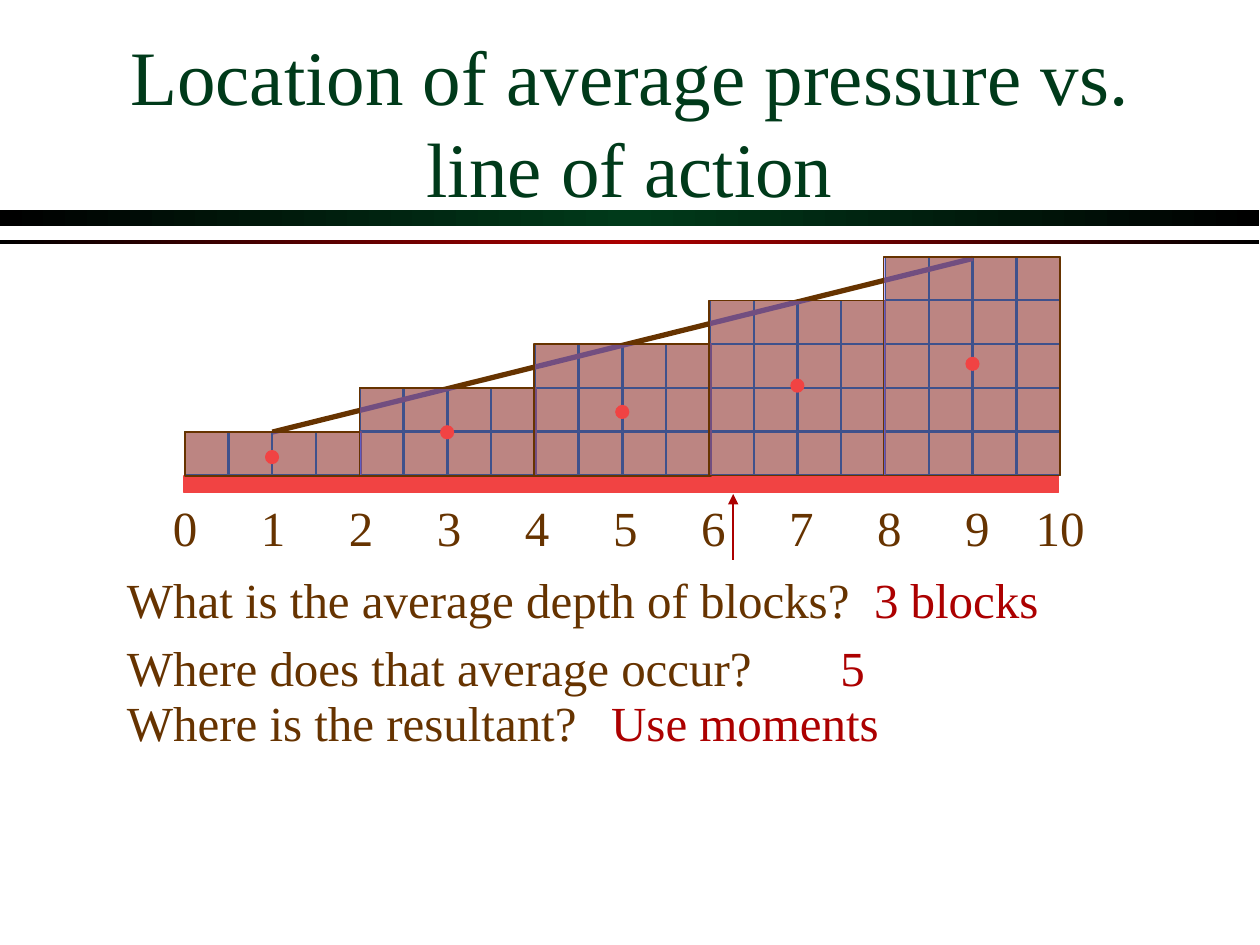
from copy import deepcopy

from lxml import etree
from pptx import Presentation
from pptx.dml.color import RGBColor
from pptx.enum.shapes import MSO_CONNECTOR, MSO_SHAPE
from pptx.enum.text import MSO_ANCHOR, PP_ALIGN
from pptx.oxml.ns import qn
from pptx.util import Cm, Pt

RECT, OVAL = MSO_SHAPE.RECTANGLE, MSO_SHAPE.OVAL
LINE = MSO_CONNECTOR.STRAIGHT
LEFT, MID = PP_ALIGN.LEFT, PP_ALIGN.CENTER
TOP, CENTRE = MSO_ANCHOR.TOP, MSO_ANCHOR.MIDDLE

BLACK = RGBColor(0x00, 0x00, 0x00)
GREEN = RGBColor(0x00, 0x3A, 0x1A)
RED = RGBColor(0xAC, 0x00, 0x00)
CORAL = RGBColor(0xF1, 0x43, 0x43)
BROWN = RGBColor(0x66, 0x33, 0x00)
GOLD = RGBColor(0xFB, 0xA3, 0x05)
VIOLET = RGBColor(0x7E, 0x69, 0xFF)

# Block grid, in cm
X0, BASE = 3.73, 9.59
PITCH = 17.65 / 20
SIDE = 0.87
STEPS = 5


def add(parent, tag, **values):
    child = etree.SubElement(parent, qn(tag))
    for key, value in values.items():
        child.set(key, value)
    return child


class Board:
    """Holds the text style and the current slide."""

    style = {"name": "Times New Roman", "size": Pt(28)}

    def __init__(self, slide):
        self.slide = slide

    def shape(self, kind, x, y, w, h, fill=None, line=None, alpha=None):
        item = self.slide.shapes.add_shape(kind, Cm(x), Cm(y), Cm(w), Cm(h))
        item.shadow.inherit = False
        if fill is not None:
            item.fill.solid()
            item.fill.fore_color.rgb = fill
        if alpha:
            tint = item.fill._xPr.find(qn("a:solidFill"))[0]
            add(tint, "a:alpha", val=str(alpha * 1000))
        if line is None:
            item.line.fill.background()
        else:
            item.line.color.rgb = line
            item.line.width = Pt(1)
        return item

    def band(self, y, h, tint):
        """A full-width bar that fades to black at both ends."""
        item = self.shape(RECT, 0, y, 25.38, h)
        item.fill.gradient()
        item.fill.gradient_angle = 0
        stops = item.fill._xPr.find(qn("a:gradFill")).find(qn("a:gsLst"))
        stops.append(deepcopy(stops[0]))
        for stop, color, place in zip(item.fill.gradient_stops,
                                      (BLACK, tint, BLACK), (0, 0.5, 1)):
            stop.color.rgb = color
            stop.position = place

    def line(self, x1, y1, x2, y2, color, width, arrow=False):
        item = self.slide.shapes.add_connector(
            LINE, Cm(x1), Cm(y1), Cm(x2), Cm(y2))
        item.line.color.rgb = color
        item.line.width = Pt(width)
        if arrow:
            add(item.line._get_or_add_ln(), "a:tailEnd", type="triangle")
        add(item._element.spPr, "a:effectLst")

    def text(self, words, x, y, w, h=1.45, color=BROWN, align=LEFT,
             anchor=TOP, wrap=False, **extra):
        frame = self.slide.shapes.add_textbox(
            Cm(x), Cm(y), Cm(w), Cm(h)).text_frame
        frame.word_wrap = wrap
        frame.vertical_anchor = anchor
        para = frame.paragraphs[0]
        para.alignment = align
        run = para.add_run()
        run.text = words
        for key, value in {**self.style, **extra}.items():
            setattr(run.font, key, value)
        run.font.color.rgb = color
        return run

    def title(self, words):
        run = self.text(words, 1.9, 0.84, 21.6, 3.18, GREEN, MID, CENTRE,
                        True, size=Pt(44))
        glow = etree.Element(qn("a:effectLst"))
        cast = add(glow, "a:outerShdw", dist="35921", dir="2700000")
        add(cast, "a:srgbClr", val=str(BLACK))
        run.font._element.find(qn("a:solidFill")).addnext(glow)


def main():
    deck = Presentation()
    deck.slide_width, deck.slide_height = Cm(25.4), Cm(19.05)
    board = Board(deck.slides.add_slide(deck.slide_layouts[6]))

    # Heading
    board.band(4.24, 0.31, GREEN)
    board.band(4.83, 0.1, RED)
    board.title("Location of average pressure vs. line of action")

    # Base and its scale
    board.shape(RECT, 3.71, 9.6, 17.63, 0.33, CORAL, CORAL)
    for mark in range(11):
        mid = min(X0 + 1.775 * mark, 21.37)
        wide = 1.02 if mark < 10 else 1.5
        board.text(str(mark), mid - wide / 2, 9.91, wide, align=MID)
    board.line(14.78, 11.28, 14.78, 9.96, RED, 1, arrow=True)

    # Stacked blocks, four columns to a step
    for col in range(4 * STEPS):
        for row in range(1, col // 4 + 2):
            board.shape(RECT, X0 + PITCH * col, BASE - PITCH * row,
                        SIDE, SIDE, GOLD, GREEN)
    board.line(19.61, 5.21, 5.49, 8.71, BROWN, 3)

    # Questions and answers
    for ask, y, w, reply, x, wide in (
            ("What is the average depth of blocks?", 11.36, 15.09,
             "3 blocks", 17.37, 3.84),
            ("Where does that average occur?", 12.73, 13.11,
             "5", 16.69, 1.02),
            ("Where is the resultant?", 13.84, 9.58,
             "Use moments", 12.07, 5.92)):
        board.text(ask, 2.31, y, w)
        board.text(reply, x, y, wide, color=RED)

    # Clear bars over each step, then their centres
    for step in range(STEPS):
        tall = PITCH * (step + 1)
        board.shape(RECT, X0 + 3.52 * step, BASE - tall, 3.56, tall,
                    VIOLET, BROWN, alpha=50)
    for step, y in enumerate((9.09, 8.59, 8.18, 7.65, 7.21)):
        board.shape(OVAL, 5.36 + 4 * PITCH * step, y, 0.25, 0.25,
                    CORAL, CORAL)

    deck.save("out.pptx")


if __name__ == "__main__":
    main()
